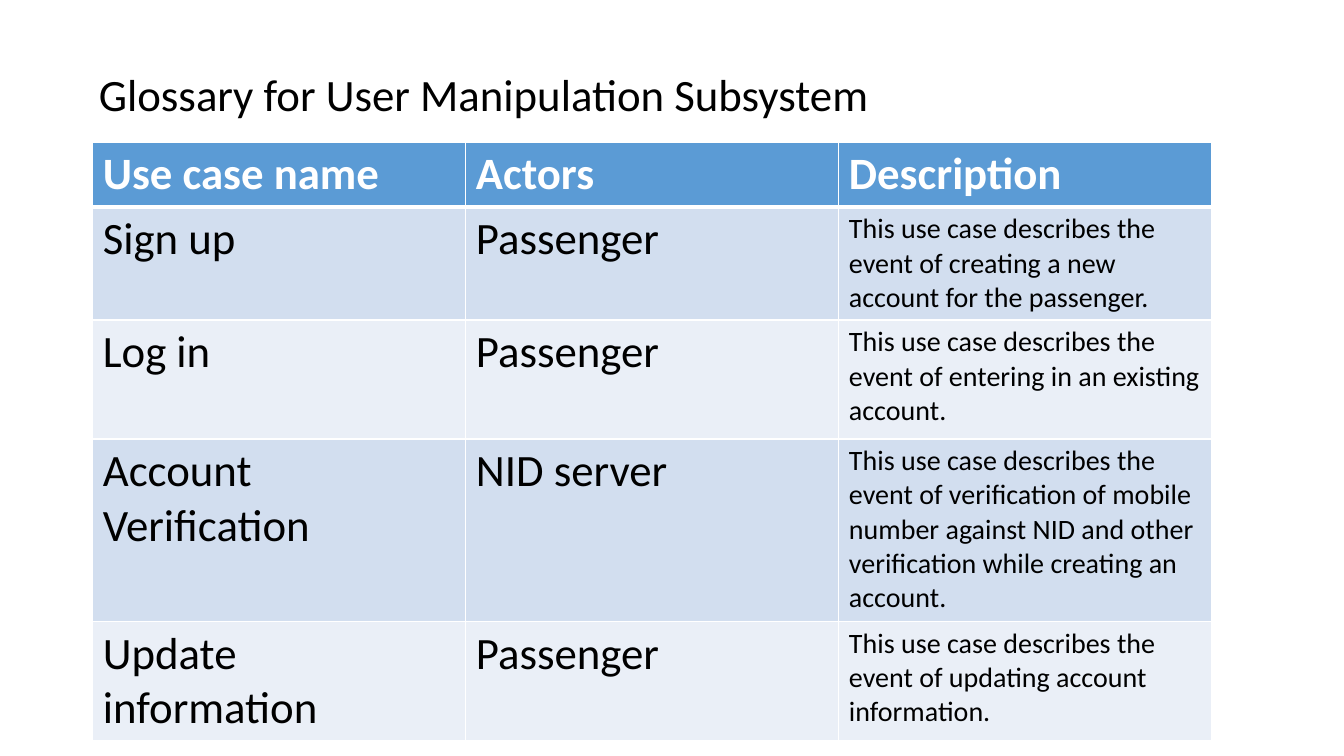
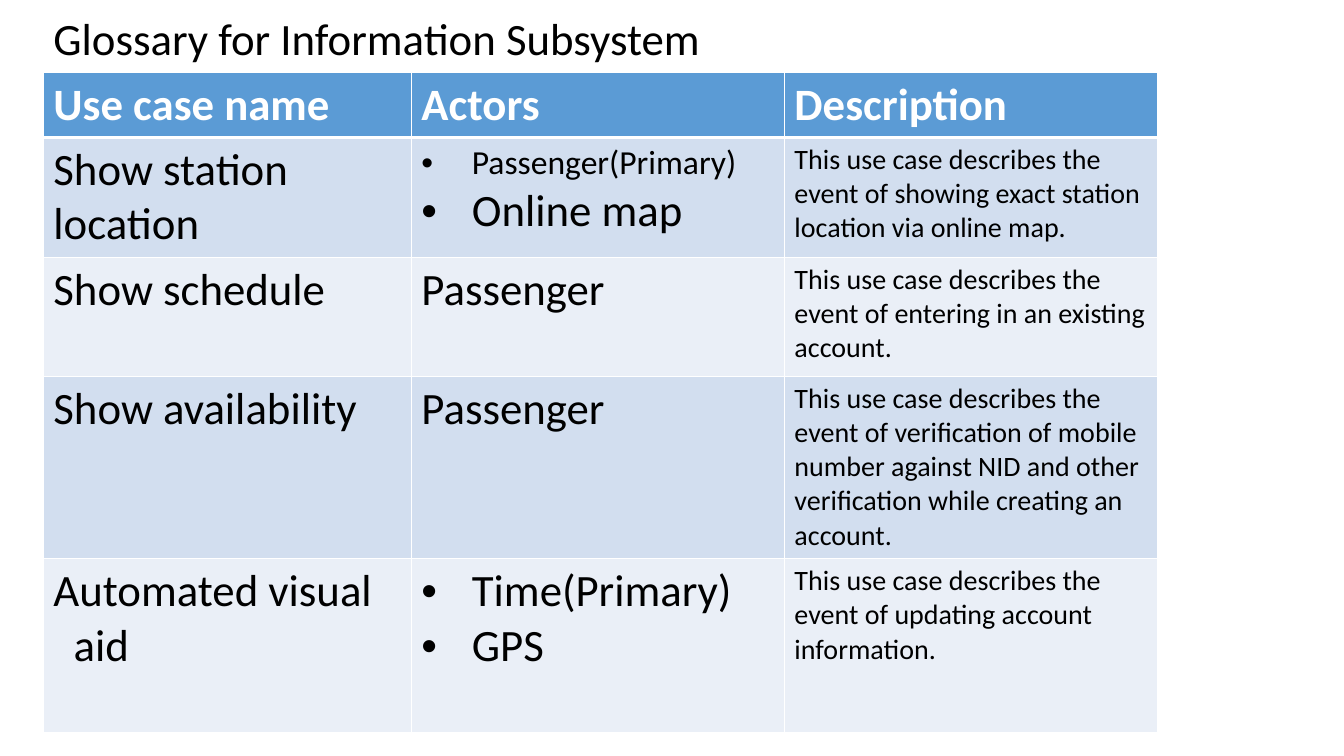
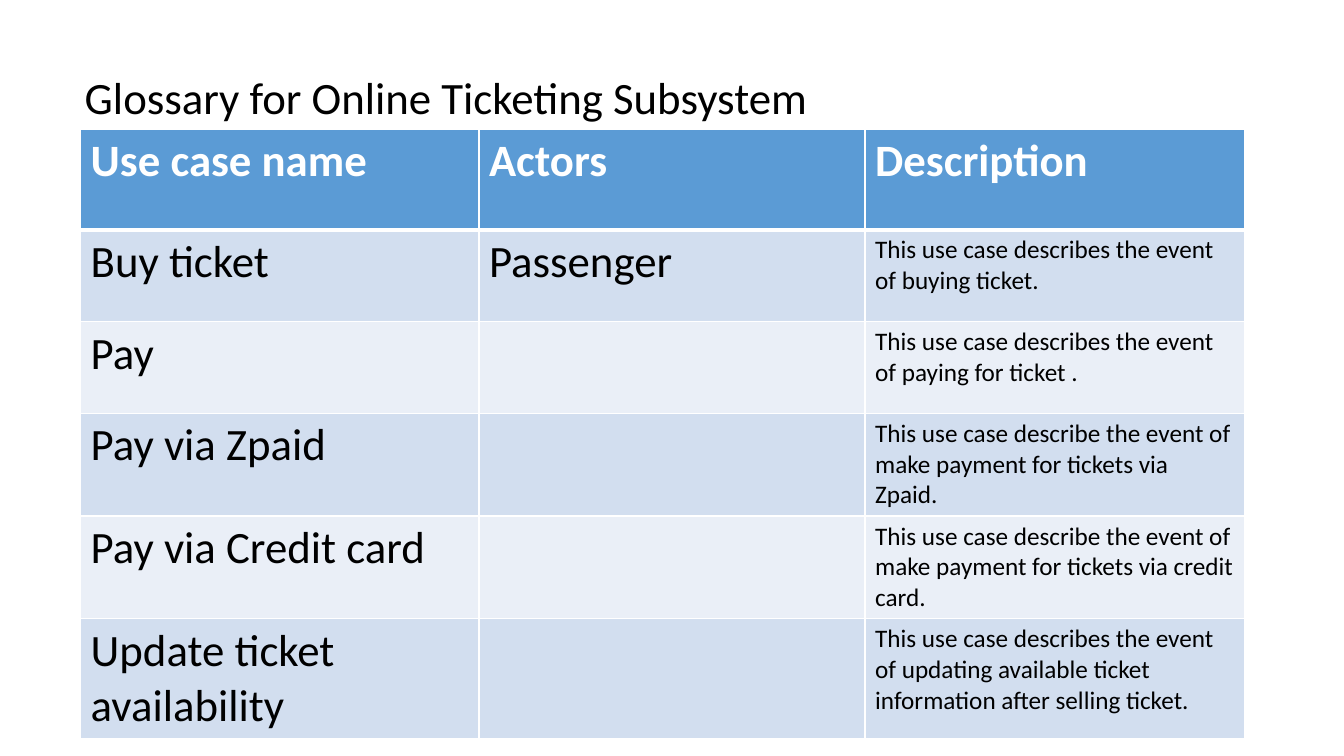
from lxml import etree
from pptx import Presentation
from pptx.dml.color import RGBColor
from pptx.enum.text import MSO_ANCHOR, MSO_AUTO_SIZE, PP_ALIGN
from pptx.oxml.ns import qn
from pptx.util import Inches, Pt

MIDDLE = MSO_ANCHOR.MIDDLE
NO_AUTOFIT = MSO_AUTO_SIZE.NONE
LEFT = PP_ALIGN.LEFT

COLORS = {
    "header": "5B9BD5",
    "odd_row": "D2DEEF",
    "even_row": "EAEFF7",
    "text": "000000",
    "white": "FFFFFF",
}
FONT = "Calibri"
LARGE = 32
TITLE_ONLY_LAYOUT = 5
HEADINGS = ("Use case name", "Actors", "Description")

ENTERING = "This use case describes the event of entering in an existing account."
VERIFYING = ("This use case describes the event of verification of mobile number "
             "against NID and other verification while creating an account.")
UPDATING = "This use case describes the event of updating account information."

GLOSSARIES = [
    {
        "title": "Glossary for User Manipulation Subsystem",
        "title_box": (0.88, 0.24, 11.5, 1.45),
        "table_origin": (0.92, 1.41),
        "columns": (3.7, 3.7, 3.7),
        "row_heights": (0.64, 1.12, 1.18, 1.81, 1.18),
        "description_size": 20,
        "rows": [
            ("Sign up", "Passenger",
             "This use case describes the event of creating a new account for the passenger."),
            ("Log in", "Passenger", ENTERING),
            ("Account Verification", "NID server", VERIFYING),
            ("Update information", "Passenger", UPDATING),
        ],
    },
    {
        "title": "Glossary for Information Subsystem",
        "title_box": (0.43, -0.18, 10.94, 1.17),
        "table_origin": (0.43, 0.72),
        "columns": (3.65, 3.7, 3.7),
        "row_heights": (0.64, 1.19, 1.18, 1.81, 1.72),
        "description_size": 20,
        "rows": [
            ("Show station location",
             [("Passenger(Primary)", {"bullet": True, "size": 24}),
              ("Online map", {"bullet": True})],
             "This use case describes the event of showing exact station location via online map."),
            ("Show schedule", "Passenger", ENTERING),
            ("Show availability", "Passenger", VERIFYING),
            ([("Automated visual", {}), ("aid", {"indent": 0.2})],
             [("Time(Primary)", {"bullet": True}), ("GPS", {"bullet": True})],
             UPDATING),
        ],
    },
    {
        "title": "Glossary for Online Ticketing Subsystem",
        "title_box": (0.74, 0.27, 11.5, 1.45),
        "table_origin": (0.8, 1.28),
        "columns": (3.95, 3.83, 3.76),
        "row_heights": (1.0, 0.91, 0.91, 1.02, 1.02, 1.18),
        "description_size": 18,
        "rows": [
            ("Buy ticket", "Passenger",
             "This use case describes the event of buying ticket."),
            ("Pay", "", "This use case describes the event of paying for ticket ."),
            ("Pay via Zpaid", "",
             "This use case describe the event of make payment for tickets via Zpaid."),
            ("Pay via Credit card", "",
             "This use case describe the event of make payment for tickets via credit card."),
            ("Update ticket availability", "",
             "This use case describes the event of updating available ticket "
             "information after selling ticket."),
        ],
    },
]


def write_text(paragraph, text, size=LARGE, color="text", bold=False,
               bullet=False, indent=0, line_spacing=None):
    paragraph.alignment = LEFT
    if line_spacing:
        paragraph.line_spacing = line_spacing
    if bullet or indent:
        properties = paragraph._p.get_or_add_pPr()
        properties.set("marL", str(Inches(0.5 if bullet else indent)))
        properties.set("indent", str(Inches(-0.5 if bullet else 0)))
        if bullet:
            etree.SubElement(properties, qn("a:buFont"), typeface="Arial")
            etree.SubElement(properties, qn("a:buChar"), char="•")
    run = paragraph.add_run()
    run.text = text
    run.font.name = FONT
    run.font.size = Pt(size)
    run.font.bold = bold
    run.font.color.rgb = RGBColor.from_string(COLORS[color])


def set_borders(cell, top, bottom):
    properties = cell._tc.get_or_add_tcPr()
    widths = {"a:lnL": 1, "a:lnR": 1, "a:lnT": top, "a:lnB": bottom}
    for position, (side, width) in enumerate(widths.items()):
        line = etree.Element(qn(side), w=str(Pt(width)))
        fill = etree.SubElement(line, qn("a:solidFill"))
        etree.SubElement(fill, qn("a:srgbClr"), val=COLORS["white"])
        properties.insert(position, line)


def fill_cell(cell, content, fill, top=1, bottom=1, **text_format):
    cell.fill.solid()
    cell.fill.fore_color.rgb = RGBColor.from_string(COLORS[fill])
    set_borders(cell, top, bottom)
    lines = [(content, {})] if isinstance(content, str) else content
    frame = cell.text_frame
    for index, (text, line_format) in enumerate(lines):
        paragraph = frame.add_paragraph() if index else frame.paragraphs[0]
        if text:
            write_text(paragraph, text, **{**text_format, **line_format})


def add_title(slide, text, box):
    title = slide.shapes.title
    title.left, title.top, title.width, title.height = map(Inches, box)
    frame = title.text_frame
    frame.word_wrap = True
    frame.auto_size = NO_AUTOFIT
    frame.vertical_anchor = MIDDLE
    write_text(frame.paragraphs[0], text, line_spacing=0.9)


def add_glossary_table(slide, origin, columns, row_heights, rows, description_size):
    left, top = map(Inches, origin)
    table = slide.shapes.add_table(
        len(row_heights), len(columns), left, top,
        Inches(sum(columns)), Inches(sum(row_heights))).table
    for column, width in zip(table.columns, columns):
        column.width = Inches(width)
    for row, height in zip(table.rows, row_heights):
        row.height = Inches(height)
    for column, heading in enumerate(HEADINGS):
        fill_cell(table.cell(0, column), heading, "header", bottom=3,
                  color="white", bold=True)
    sizes = (LARGE, LARGE, description_size)
    for row, entries in enumerate(rows, start=1):
        fill = "odd_row" if row % 2 else "even_row"
        for column, (entry, size) in enumerate(zip(entries, sizes)):
            fill_cell(table.cell(row, column), entry, fill,
                      top=3 if row == 1 else 1, size=size)


def add_glossary_slide(presentation, glossary):
    slide = presentation.slides.add_slide(presentation.slide_layouts[TITLE_ONLY_LAYOUT])
    add_title(slide, glossary["title"], glossary["title_box"])
    add_glossary_table(slide, glossary["table_origin"], glossary["columns"],
                       glossary["row_heights"], glossary["rows"],
                       glossary["description_size"])


def main():
    presentation = Presentation()
    presentation.slide_width = Inches(13.33)
    presentation.slide_height = Inches(7.5)
    for glossary in GLOSSARIES:
        add_glossary_slide(presentation, glossary)
    presentation.save("out.pptx")


if __name__ == "__main__":
    main()
